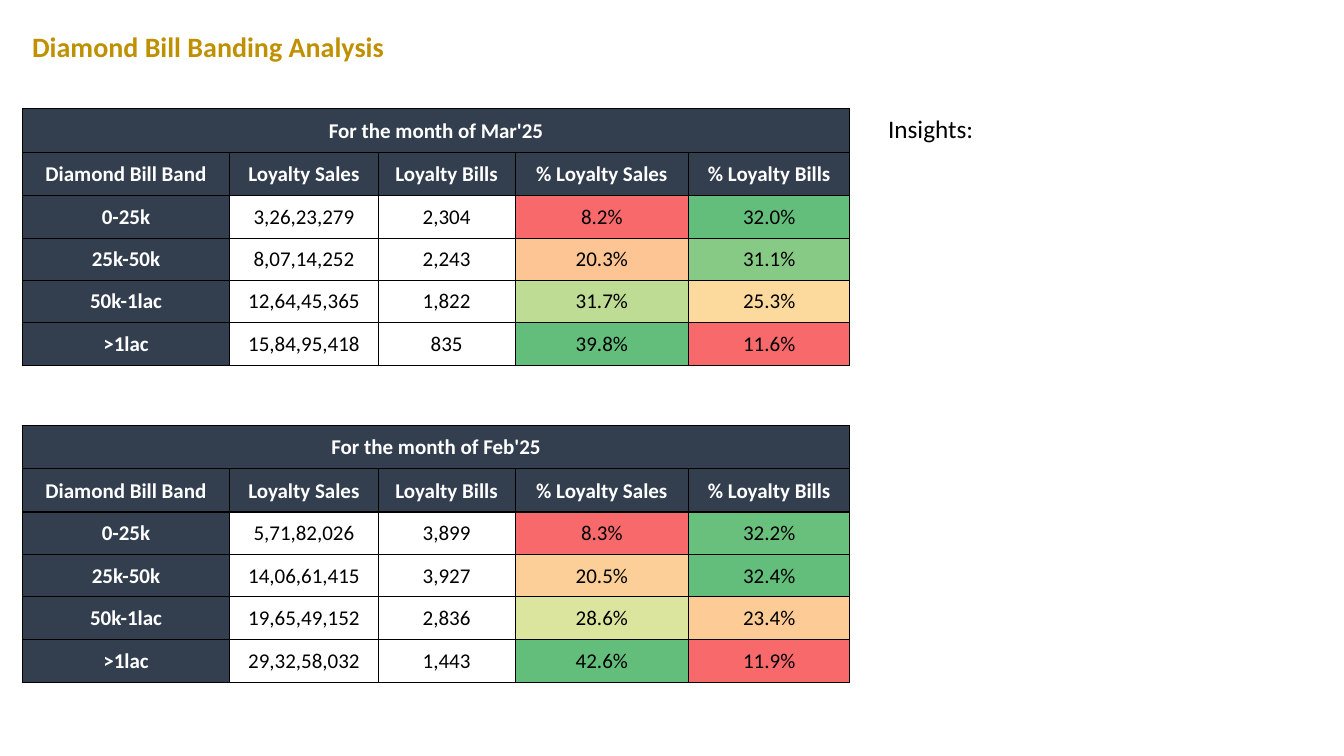
from lxml import etree
from pptx import Presentation
from pptx.dml.color import RGBColor
from pptx.enum.text import MSO_ANCHOR, PP_ALIGN
from pptx.oxml.ns import qn
from pptx.util import Inches, Pt

MIDDLE = MSO_ANCHOR.MIDDLE
CENTER = PP_ALIGN.CENTER

THEME = {
    "font": "Calibri",
    "gold": "BF9000", "navy": "333F4F", "white": "FFFFFF", "black": "000000",
    "title": 20, "note": 18, "cell": 15,
    "thick": 1, "thin": 0.5,
}

TITLE = "Diamond Bill Banding Analysis"
NOTE = "Insights:"
HEADS = ("Diamond Bill Band", "Loyalty Sales", "Loyalty Bills",
         "% Loyalty Sales", "% Loyalty Bills")
MONTHS = (
    {
        "name": "For the month of Mar'25",
        "top": 1.08,
        "rows": (
            ("0-25k", "3,26,23,279", "2,304", "8.2%", "32.0%"),
            ("25k-50k", "8,07,14,252", "2,243", "20.3%", "31.1%"),
            ("50k-1lac", "12,64,45,365", "1,822", "31.7%", "25.3%"),
            (">1lac", "15,84,95,418", "835", "39.8%", "11.6%"),
        ),
        "heat": (("F8696B", "63BE7B"), ("FCC593", "87CA85"),
                 ("BEDC94", "FCD99C"), ("63BE7B", "F8696B")),
    },
    {
        "name": "For the month of Feb'25",
        "top": 4.22,
        "rows": (
            ("0-25k", "5,71,82,026", "3,899", "8.3%", "32.2%"),
            ("25k-50k", "14,06,61,415", "3,927", "20.5%", "32.4%"),
            ("50k-1lac", "19,65,49,152", "2,836", "28.6%", "23.4%"),
            (">1lac", "29,32,58,032", "1,443", "42.6%", "11.9%"),
        ),
        "heat": (("F8696B", "69C07C"), ("FCCF98", "63BE7B"),
                 ("DBE59D", "FCCB96"), ("63BE7B", "F8696B")),
    },
)
LEFT = 0.22
WIDTHS = (2.06, 1.47, 1.36, 1.72, 1.6)
HEIGHTS = (0.43, 0.43, 0.42, 0.42, 0.42, 0.43)
THICK_X = (0, 1, 3, 5)
THICK_Y = (0, 1, 2, 6)


def style(para, size, color, bold=False):
    para.font.name = THEME["font"]
    para.font.size = Pt(THEME[size])
    para.font.bold = bold
    para.font.color.rgb = RGBColor.from_string(THEME[color])


def add_text(slide, text, box, size, color, bold=False):
    frame = slide.shapes.add_textbox(*map(Inches, box)).text_frame
    frame.word_wrap = True
    para = frame.paragraphs[0]
    para.text = text
    style(para, size, color, bold)


def add_edges(cell, row, col):
    props = cell._tc.get_or_add_tcPr()
    edges = (("a:lnL", col in THICK_X), ("a:lnR", col + 1 in THICK_X),
             ("a:lnT", row in THICK_Y), ("a:lnB", row + 1 in THICK_Y))
    for tag, heavy in edges:
        width = Pt(THEME["thick" if heavy else "thin"])
        line = etree.SubElement(props, qn(tag), w=str(width))
        fill = etree.SubElement(line, qn("a:solidFill"))
        etree.SubElement(fill, qn("a:srgbClr"), val=THEME["black"])


def fill_cell(cell, text, fill, head):
    cell.vertical_anchor = MIDDLE
    cell.margin_left = cell.margin_right = cell.margin_top = Inches(0.01)
    cell.margin_bottom = 0
    if fill:
        cell.fill.solid()
        cell.fill.fore_color.rgb = RGBColor.from_string(fill)
    else:
        cell.fill.background()
    para = cell.text_frame.paragraphs[0]
    para.text = text
    para.alignment = CENTER
    style(para, "cell", "white" if head else "black", head)


def add_month(slide, month):
    box = (LEFT, month["top"], sum(WIDTHS), sum(HEIGHTS))
    table = slide.shapes.add_table(
        len(HEIGHTS), len(WIDTHS), *map(Inches, box)).table
    for col, width in zip(table.columns, WIDTHS):
        col.width = Inches(width)
    for row, height in zip(table.rows, HEIGHTS):
        row.height = Inches(height)
    table.cell(0, 0).merge(table.cell(0, len(WIDTHS) - 1))
    banner = (month["name"],) + ("",) * (len(WIDTHS) - 1)
    for r, texts in enumerate((banner, HEADS) + month["rows"]):
        for c, text in enumerate(texts):
            head = r < 2 or c == 0
            fill = THEME["navy"] if head else None
            if not head and c > 2:
                fill = month["heat"][r - 2][c - 3]
            cell = table.cell(r, c)
            add_edges(cell, r, c)
            fill_cell(cell, text, fill, head)


def main():
    deck = Presentation()
    deck.slide_width, deck.slide_height = Inches(13.33), Inches(7.5)
    slide = deck.slides.add_slide(deck.slide_layouts[6])
    add_text(slide, TITLE, (LEFT, 0.24, 12.57, 0.44), "title", "gold", True)
    add_text(slide, NOTE, (8.71, 1.08, 4.09, 0.4), "note", "black")
    for month in MONTHS:
        add_month(slide, month)
    deck.save("out.pptx")


if __name__ == "__main__":
    main()
